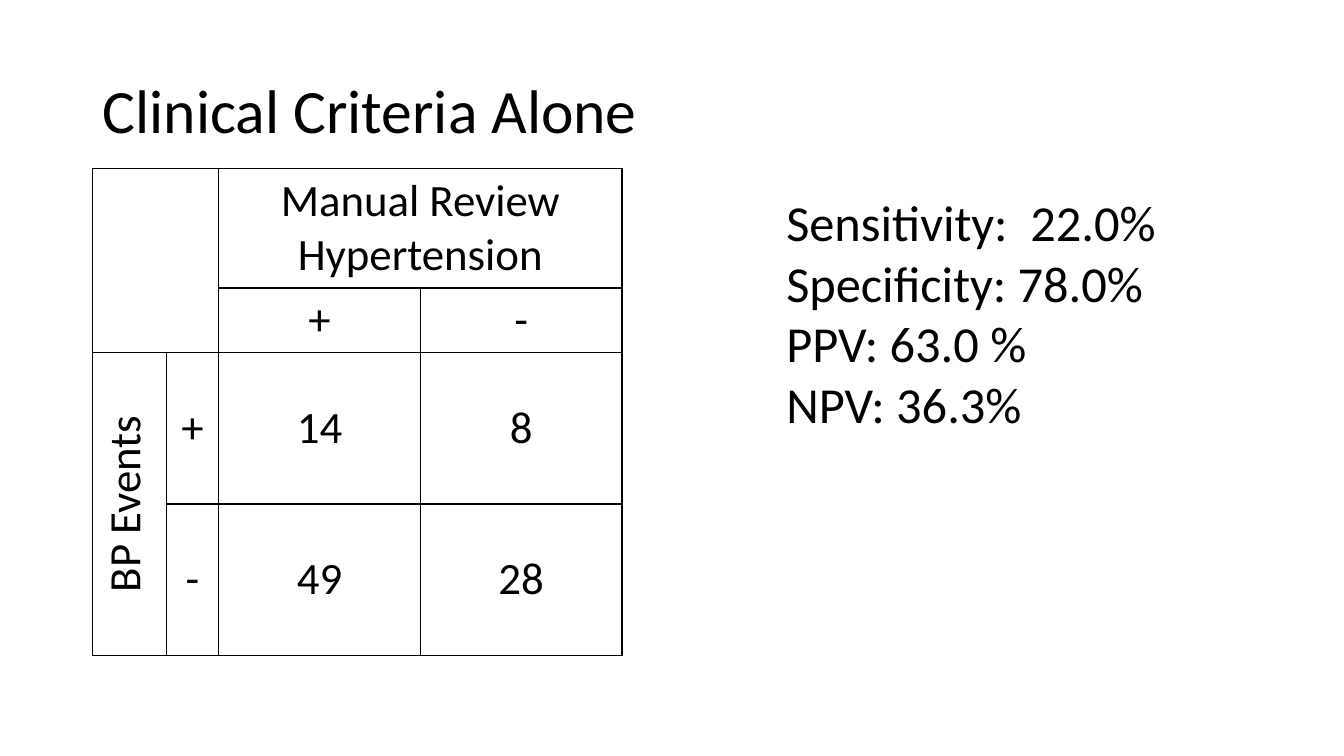
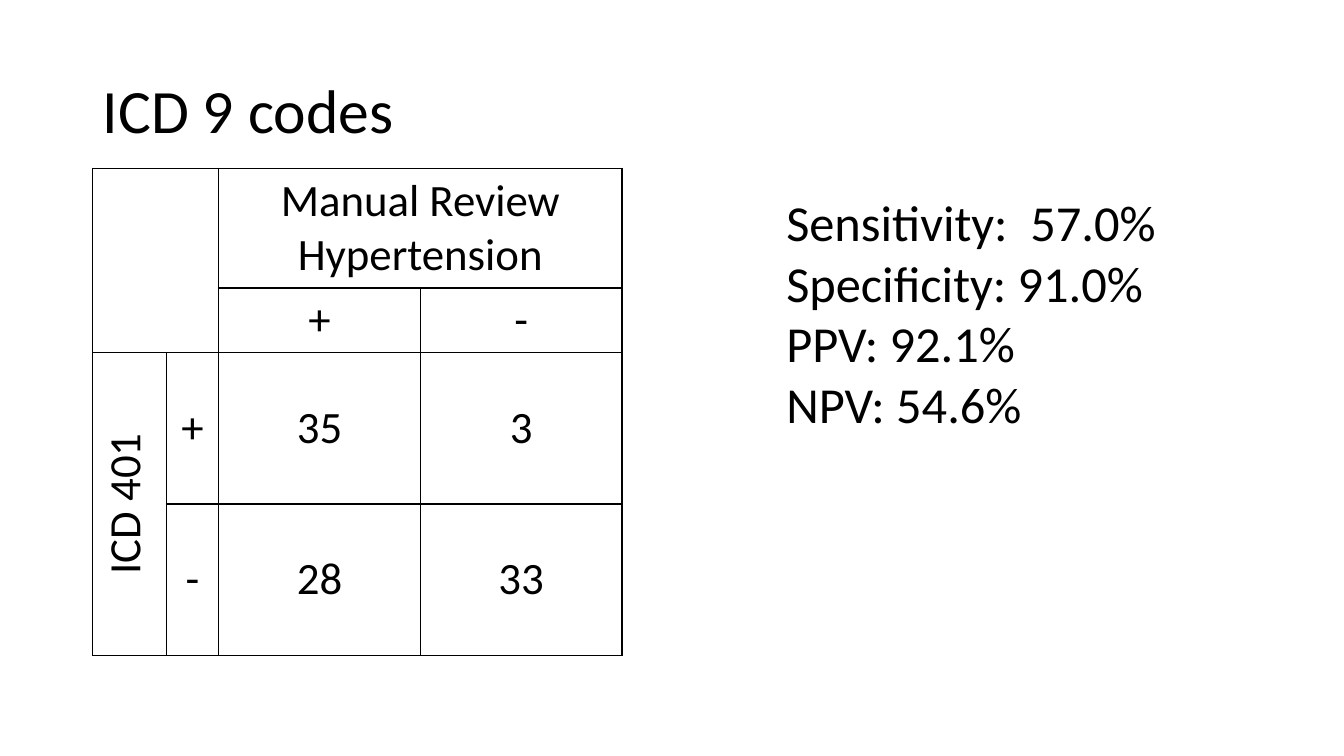
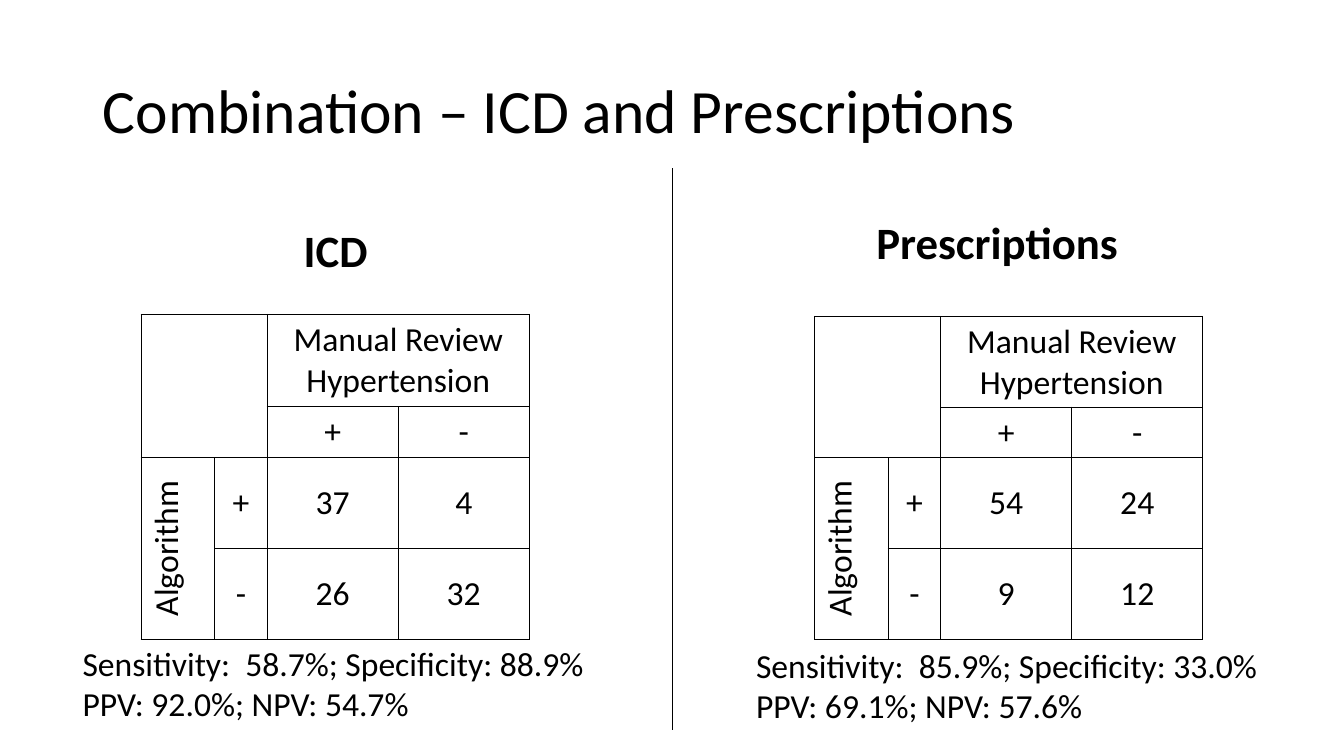
from lxml import etree
from pptx import Presentation
from pptx.dml.color import RGBColor
from pptx.enum.shapes import MSO_CONNECTOR
from pptx.enum.text import MSO_ANCHOR, MSO_AUTO_SIZE, PP_ALIGN
from pptx.oxml.ns import qn
from pptx.util import Inches, Pt

STRAIGHT = MSO_CONNECTOR.STRAIGHT
TOP, MIDDLE = MSO_ANCHOR.TOP, MSO_ANCHOR.MIDDLE
FIT_SHAPE = MSO_AUTO_SIZE.SHAPE_TO_FIT_TEXT
LEFT, CENTER = PP_ALIGN.LEFT, PP_ALIGN.CENTER

COLORS = {"ink": "000000"}
FONT = "Calibri"
BORDER_SIDES = ("a:lnL", "a:lnR", "a:lnT", "a:lnB")
LABEL_WIDTHS = (0.73, 0.52)
HEADER_HEIGHT = 0.41

SINGLE_SLIDES = [
    ("Clinical Criteria Alone", "BP Events", ((14, 8), (49, 28)),
     ("Sensitivity:  22.0%", "Specificity: 78.0%", "PPV: 63.0 %", "NPV: 36.3%")),
    ("ICD 9 codes", "ICD 401", ((35, 3), (28, 33)),
     ("Sensitivity:  57.0%", "Specificity: 91.0%", "PPV: 92.1%", "NPV: 54.6%")),
]

COMPARISON = [
    {"heading": "ICD", "heading_box": (2.91, 2.16, 0.84, 0.64),
     "left": 0.72, "top": 3.12, "counts": ((37, 4), (26, 32)),
     "measures": ("Sensitivity:  58.7%; Specificity: 88.9%",
                  "PPV: 92.0%; NPV: 54.7%")},
    {"heading": "Prescriptions", "heading_box": (8.58, 2.08, 2.62, 0.64),
     "left": 7.4, "top": 3.14, "counts": ((54, 24), (9, 12)),
     "measures": ("Sensitivity:  85.9%; Specificity: 33.0%",
                  "PPV: 69.1%; NPV: 57.6%")},
]


def set_attributes(target, values):
    for name, value in values.items():
        setattr(target, name, value)


def write_lines(frame, lines, size, align=LEFT, bold=False, spacing=None):
    for index, line in enumerate(lines):
        paragraph = frame.add_paragraph() if index else frame.paragraphs[0]
        set_attributes(paragraph, {"alignment": align, "line_spacing": spacing})
        run = paragraph.add_run()
        run.text = line
        set_attributes(run.font, {"name": FONT, "size": Pt(size), "bold": bold})
        run.font.color.rgb = RGBColor.from_string(COLORS["ink"])


def add_titled_slide(deck, title_text):
    slide = deck.slides.add_slide(deck.slide_layouts[5])
    title = slide.shapes.title
    set_attributes(title, {"left": Inches(0.92), "top": Inches(0.4),
                           "width": Inches(11.5), "height": Inches(1.45)})
    title.text_frame.vertical_anchor = MIDDLE
    write_lines(title.text_frame, [title_text], 44, spacing=0.9)
    return slide


def add_text(slide, box, lines, size, align=LEFT, bold=False):
    frame = slide.shapes.add_textbox(*map(Inches, box)).text_frame
    set_attributes(frame, {"word_wrap": False, "auto_size": FIT_SHAPE})
    write_lines(frame, lines, size, align, bold)


def outline_cell(cell):
    properties = cell._tc.get_or_add_tcPr()
    for side in BORDER_SIDES:
        border = etree.SubElement(properties, qn(side), w=str(Pt(1)))
        fill = etree.SubElement(border, qn("a:solidFill"))
        etree.SubElement(fill, qn("a:srgbClr"), val=COLORS["ink"])
    cell.fill.background()


def add_confusion_table(slide, left, top, height, test, counts, count_size, text_size):
    count_width, count_height = count_size
    widths = (*LABEL_WIDTHS, count_width, count_width)
    heights = (HEADER_HEIGHT, HEADER_HEIGHT, count_height, count_height)
    holder = slide.shapes.add_table(
        4, 4, Inches(left), Inches(top), Inches(sum(widths)), Inches(height))
    table = holder.table
    set_attributes(table, {"first_row": False, "horz_banding": False})
    for column, width in zip(table.columns, widths):
        column.width = Inches(width)
    for row, row_height in zip(table.rows, heights):
        row.height = Inches(row_height)
    holder.height = Inches(height)

    for cell in table.iter_cells():
        outline_cell(cell)
    for start, end in (((0, 0), (1, 1)), ((0, 2), (0, 3)), ((2, 0), (3, 0))):
        table.cell(*start).merge(table.cell(*end))

    labels = {(0, 2): "Manual Review Hypertension", (2, 0): test}
    for index, sign in enumerate("+-", start=2):
        labels[1, index] = labels[index, 1] = sign
        for column, count in enumerate(counts[index - 2], start=2):
            labels[index, column] = str(count)
    for (row, column), label in labels.items():
        cell = table.cell(row, column)
        cell.vertical_anchor = MIDDLE if row else TOP
        write_lines(cell.text_frame, [label], text_size, CENTER)
    table.cell(2, 0)._tc.get_or_add_tcPr().set("vert", "vert270")


def add_divider(slide, x, top, bottom):
    divider = slide.shapes.add_connector(
        STRAIGHT, Inches(x), Inches(top), Inches(x), Inches(bottom))
    divider.line.width = Pt(0.5)
    divider.line.color.rgb = RGBColor.from_string(COLORS["ink"])
    etree.SubElement(divider._element.spPr, qn("a:effectLst"))


def add_single_slide(deck, title, test, counts, measures):
    slide = add_titled_slide(deck, title)
    add_confusion_table(slide, 0.92, 1.67, 4.8, test, counts, (2, 1.5), 32)
    add_text(slide, (7.7, 1.85, 3.91, 2.52), measures, 36)


def add_comparison_slide(deck):
    slide = add_titled_slide(deck, "Combination – ICD and Prescriptions")
    add_divider(slide, 6.67, 1.67, 7.24)
    for panel in COMPARISON:
        left, top = panel["left"], panel["top"]
        add_confusion_table(slide, left + 0.68, top, 3.2, "Algorithm",
                            panel["counts"], (1.3, 0.9), 24)
        add_text(slide, (left, top + 3.21, 5.22, 0.91), panel["measures"], 24)
        add_text(slide, panel["heading_box"], [panel["heading"]], 32, CENTER, True)


def main():
    deck = Presentation()
    set_attributes(deck, {"slide_width": Inches(13.33), "slide_height": Inches(7.5)})
    for content in SINGLE_SLIDES:
        add_single_slide(deck, *content)
    add_comparison_slide(deck)
    deck.save("out.pptx")


main()
